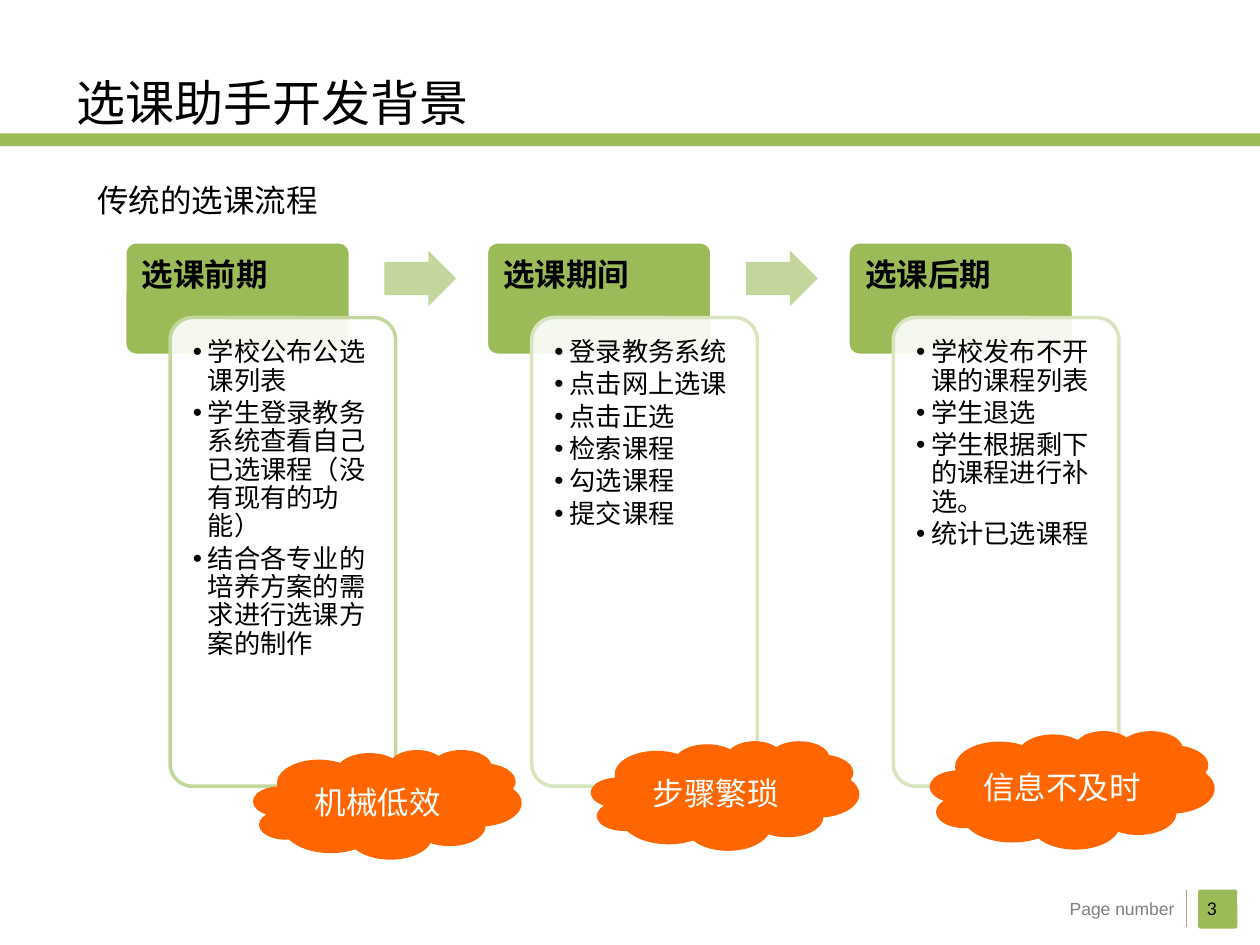
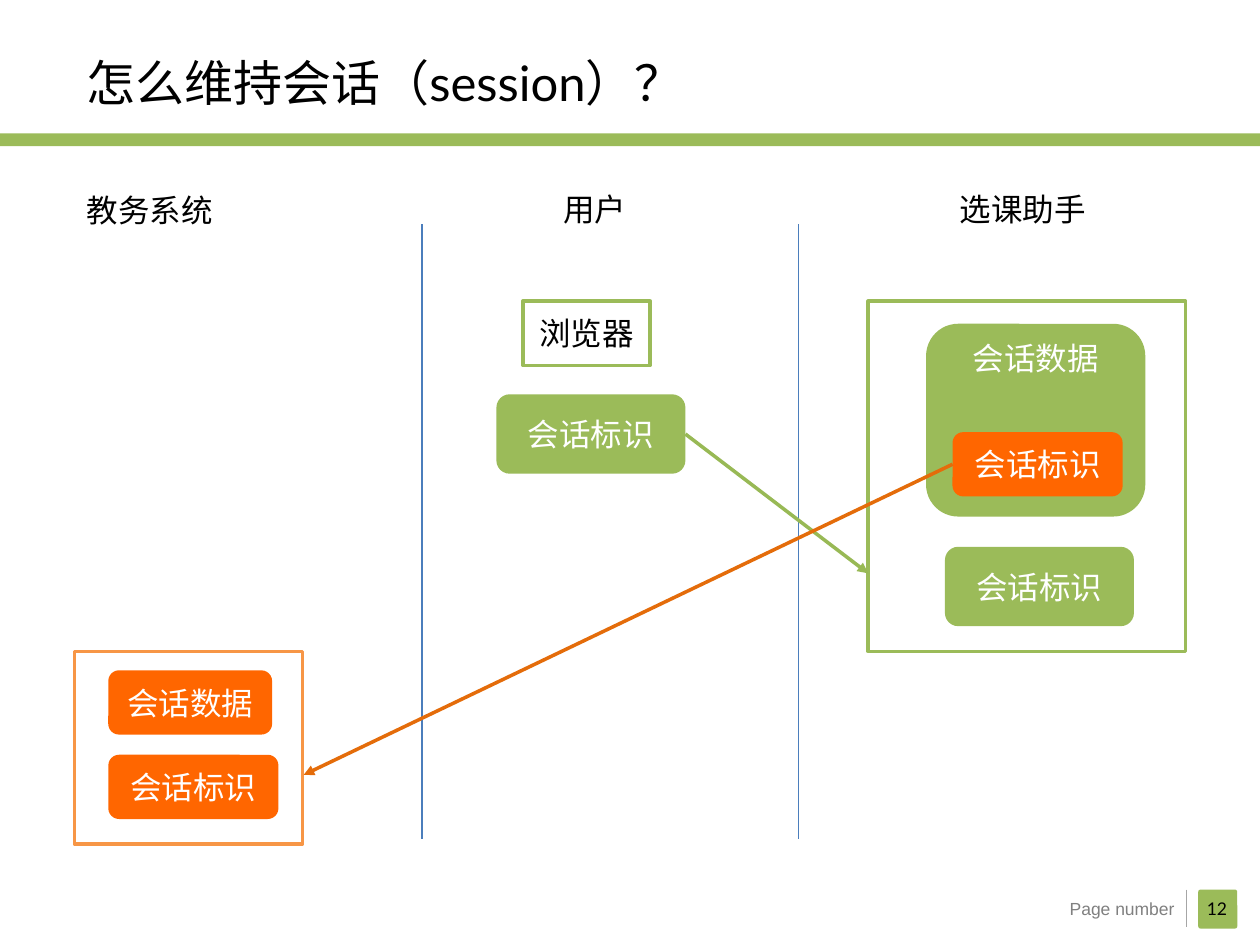
"""Build two slides on a course selection helper: its background and its sessions."""
from dataclasses import dataclass, replace

from lxml import etree
from pptx import Presentation
from pptx import util as u
from pptx.dml import color as col
from pptx.enum import shapes as sh, text as tx
from pptx.oxml import ns

HUES = {
    "green": "9BBB59", "soft": "C3D69B", "pale": "D7E4BD", "leaf": "98B955",
    "orange": "FF6600", "amber": "F79646", "rust": "E46C0A", "blue": "4B7EBC",
    "white": "FFFFFF", "black": "000000", "grey": "808080", "silver": "A6A6A6",
}
KIND = sh.MSO_SHAPE
ALIGN = tx.PP_ALIGN
ANCHOR = tx.MSO_ANCHOR


@dataclass(frozen=True)
class Box:
    """Hold a place on the slide in inches."""
    left: float
    top: float
    width: float
    height: float

    def spots(self) -> list:
        """Give the four lengths in order."""
        return [u.Inches(n) for n in (self.left, self.top, self.width, self.height)]


@dataclass(frozen=True)
class Look:
    """Hold how a text is set."""
    size: float = 18
    hue: str = "black"
    font: str = "Lato"
    bold: bool = False
    align: ALIGN = ALIGN.LEFT
    anchor: ANCHOR = ANCHOR.TOP
    lead: float = 1.0
    after: float = 0
    pad: tuple = (0.1, 0.05, 0.1, 0.05)
    wrap: bool = True
    bullet: bool = False


@dataclass(frozen=True)
class Stage:
    """Hold one stage of the course selection process."""
    name: str
    steps: tuple
    edge: str
    flaw: str
    cloud: Box


@dataclass(frozen=True)
class Part:
    """Hold one labelled block of the session diagram."""
    box: Box
    words: str = ""
    fill: str = "green"
    line: str = ""
    kind: KIND = KIND.ROUNDED_RECTANGLE
    look: Look = Look(hue="white", align=ALIGN.CENTER, anchor=ANCHOR.MIDDLE)


PLAIN = Look()
LABEL = Look(hue="white", align=ALIGN.CENTER, anchor=ANCHOR.MIDDLE)
HEAD = Look(bold=True, lead=0.9, pad=(0.11, 0.11, 0.11, 0.07))
LIST = Look(size=15, lead=0.9, after=2.25, pad=(0.12,) * 4, bullet=True)
TITLE = Look(size=28, wrap=False)

STAGES = (
    Stage("选课前期",
          ("学校公布公选课列表", "学生登录教务系统查看自己已选课程（没有现有的功能）",
           "结合各专业的培养方案的需求进行选课方案的制作"),
          "soft", "机械低效", Box(2.01, 5.95, 2.13, 0.87)),
    Stage("选课期间",
          ("登录教务系统", "点击网上选课", "点击正选", "检索课程", "勾选课程", "提交课程"),
          "pale", "步骤繁琐", Box(4.69, 5.88, 2.13, 0.87)),
    Stage("选课后期",
          ("学校发布不开课的课程列表", "学生退选", "学生根据剩下的课程进行补选。", "统计已选课程"),
          "pale", "信息不及时", Box(7.38, 5.8, 2.26, 0.94)),
)
PITCH = 2.87

LANES = (("教务系统", 0.59, 1.47), ("用户", 4.37, 1.46), ("选课助手", 7.52, 1.46))
PARTS = {
    "school": Part(Box(0.59, 5.17, 1.81, 1.53), "", "white", "amber", KIND.RECTANGLE),
    "record": Part(Box(0.86, 5.32, 1.3, 0.51), "会话数据", "orange"),
    "token": Part(Box(0.86, 5.99, 1.35, 0.51), "会话标识", "orange"),
    "helper": Part(Box(6.89, 2.39, 2.52, 2.78), "", "white", "green", KIND.RECTANGLE),
    "data": Part(Box(7.35, 2.57, 1.74, 1.53), "会话数据",
                 look=replace(LABEL, anchor=ANCHOR.TOP)),
    "mark": Part(Box(7.5, 4.34, 1.5, 0.63), "会话标识"),
    "browser": Part(Box(4.15, 2.39, 1.01, 0.51), "浏览器", "white", "green",
                    KIND.RECTANGLE, replace(LABEL, hue="black")),
    "user": Part(Box(3.94, 3.13, 1.5, 0.63), "会话标识"),
    "inner": Part(Box(7.56, 3.43, 1.35, 0.51), "会话标识", "orange"),
}


def tint(name: str) -> col.RGBColor:
    """Give a named colour."""
    return col.RGBColor.from_string(HUES[name])


def child(node, tag: str, **attrs: str):
    """Add an XML child to a node."""
    return etree.SubElement(node, ns.qn(tag), **attrs)


def write(frame, lines: tuple, look: Look) -> None:
    """Fill a text frame with one paragraph a line."""
    frame.auto_size = tx.MSO_AUTO_SIZE.NONE
    frame.word_wrap = look.wrap
    frame.vertical_anchor = look.anchor
    (frame.margin_left, frame.margin_top,
     frame.margin_right, frame.margin_bottom) = map(u.Inches, look.pad)
    for spot, line in enumerate(lines):
        para = frame.add_paragraph() if spot else frame.paragraphs[0]
        para.alignment = look.align
        para.line_spacing = look.lead
        para.space_before = u.Pt(0)
        para.space_after = u.Pt(look.after)
        props = para._p.get_or_add_pPr()
        hang = u.Inches(0.12) if look.bullet else 0
        props.set("marL", str(hang))
        props.set("indent", str(-hang))
        if look.bullet:
            child(props, "a:buChar", char="•")
        else:
            child(props, "a:buNone")
        run = para.add_run()
        run.text = line
        run.font.size = u.Pt(look.size)
        run.font.name = look.font
        run.font.bold = look.bold
        run.font.color.rgb = tint(look.hue)


def place(holder, box: Box, lines: tuple, look: Look) -> None:
    """Move a placeholder to the front and fill it."""
    holder.left, holder.top, holder.width, holder.height = box.spots()
    holder.element.getparent().append(holder.element)
    write(holder.text_frame, lines, look)


def label(slide, box: Box, words: str, look: Look = PLAIN) -> None:
    """Add a text box."""
    write(slide.shapes.add_textbox(*box.spots()).text_frame, (words,), look)


def block(slide, part: Part, *bends: float):
    """Add a preset shape with its text."""
    shape = slide.shapes.add_shape(part.kind, *part.box.spots())
    shape.shadow.inherit = False
    for spot, bend in enumerate(bends):
        shape.adjustments[spot] = bend
    shape.fill.solid()
    shape.fill.fore_color.rgb = tint(part.fill)
    if part.line:
        shape.line.color.rgb = tint(part.line)
        shape.line.width = u.Pt(2)
    else:
        shape.line.fill.background()
    if part.words:
        write(shape.text_frame, (part.words,), part.look)
    return shape


def stroke(slide, start: tuple, end: tuple, hue: str, width: float, arrow: bool = False):
    """Add a straight line or arrow."""
    ends = [u.Inches(n) for n in (*start, *end)]
    line = slide.shapes.add_connector(sh.MSO_CONNECTOR.STRAIGHT, *ends)
    line.line.color.rgb = tint(hue)
    line.line.width = u.Pt(width)
    if arrow:
        child(line.line._get_or_add_ln(), "a:tailEnd", type="triangle")
    child(line.element.spPr, "a:effectLst")
    return line


def begin(deck, layout: int, page: str, title: str, box: Box, look: Look):
    """Add a slide with its title, band and page mark."""
    slide = deck.slides.add_slide(deck.slide_layouts[layout])
    block(slide, Part(Box(9.51, 7.06, 0.31, 0.31)), 0.06)
    label(slide, Box(8.49, 7.13, 0.84, 0.17), "Page number",
          Look(10, "grey", "Arial", pad=(0,) * 4, wrap=False))
    stroke(slide, (9.42, 7.06), (9.42, 7.36), "silver", 0.5)
    block(slide, Part(Box(0, 1.06, 10, 0.1), kind=KIND.RECTANGLE))
    label(slide, Box(9.48, 7.08, 0.37, 0.27), page, Look(10))
    place(slide.shapes.title, box, (title,), look)
    return slide


def process(deck) -> None:
    """Draw the three stages of the old process."""
    slide = begin(deck, 4, "3", "选课助手开发背景", Box(0.51, 0.29, 3.34, 0.81),
                  replace(TITLE, font="Arial", lead=1.5))
    intro, *lists = [item for item in slide.placeholders
                     if item.placeholder_format.idx]
    place(intro, Box(0.67, 1.39, 6.14, 0.4), ("传统的选课流程",), PLAIN)
    for spot, (stage, holder) in enumerate(zip(STAGES, lists)):
        left = 0.99 + spot * PITCH
        block(slide, Part(Box(left, 1.92, 1.79, 0.9), stage.name,
                          line="white", look=HEAD), 0.1)
        panel = block(slide, Part(Box(left + 0.36, 2.52, 1.79, 3.72),
                                  fill="white", line=stage.edge), 0.1)
        child(panel.element.spPr.find(".//" + ns.qn("a:srgbClr")),
              "a:alpha", val="90000")
        place(holder, Box(left + 0.42, 2.57, 1.68, 3.62), stage.steps, LIST)
        if spot < len(STAGES) - 1:
            block(slide, Part(Box(left + 2.06, 1.99, 0.57, 0.44), fill="soft",
                              kind=KIND.RIGHT_ARROW), 0.6, 0.5)
    for stage in STAGES:
        block(slide, Part(stage.cloud, stage.flaw, "orange", kind=KIND.CLOUD))


def session(deck) -> None:
    """Draw how the session is kept across three parties."""
    slide = begin(deck, 5, "12", "怎么维持会话（session）？",
                  Box(0.59, 0.27, 4.99, 0.62), replace(TITLE, lead=1.2))
    for left in (3.35, 6.34):
        stroke(slide, (left, 1.78), (left, 6.66), "blue", 0.75)
    for name, left, top in LANES:
        label(slide, Box(left, top, 1.42, 0.4), name)
    drawn = {name: block(slide, part) for name, part in PARTS.items()}
    ask = stroke(slide, (5.44, 3.44), (6.89, 4.55), "leaf", 2, True)
    ask.begin_connect(drawn["user"], 3)
    relay = stroke(slide, (7.56, 3.69), (2.41, 6.15), "rust", 2, True)
    relay.begin_connect(drawn["inner"], 1)


def main() -> None:
    """Build and save the deck."""
    deck = Presentation()
    deck.slide_width, deck.slide_height = u.Inches(10), u.Inches(7.5)
    process(deck)
    session(deck)
    deck.save("out.pptx")


if __name__ == "__main__":
    main()
